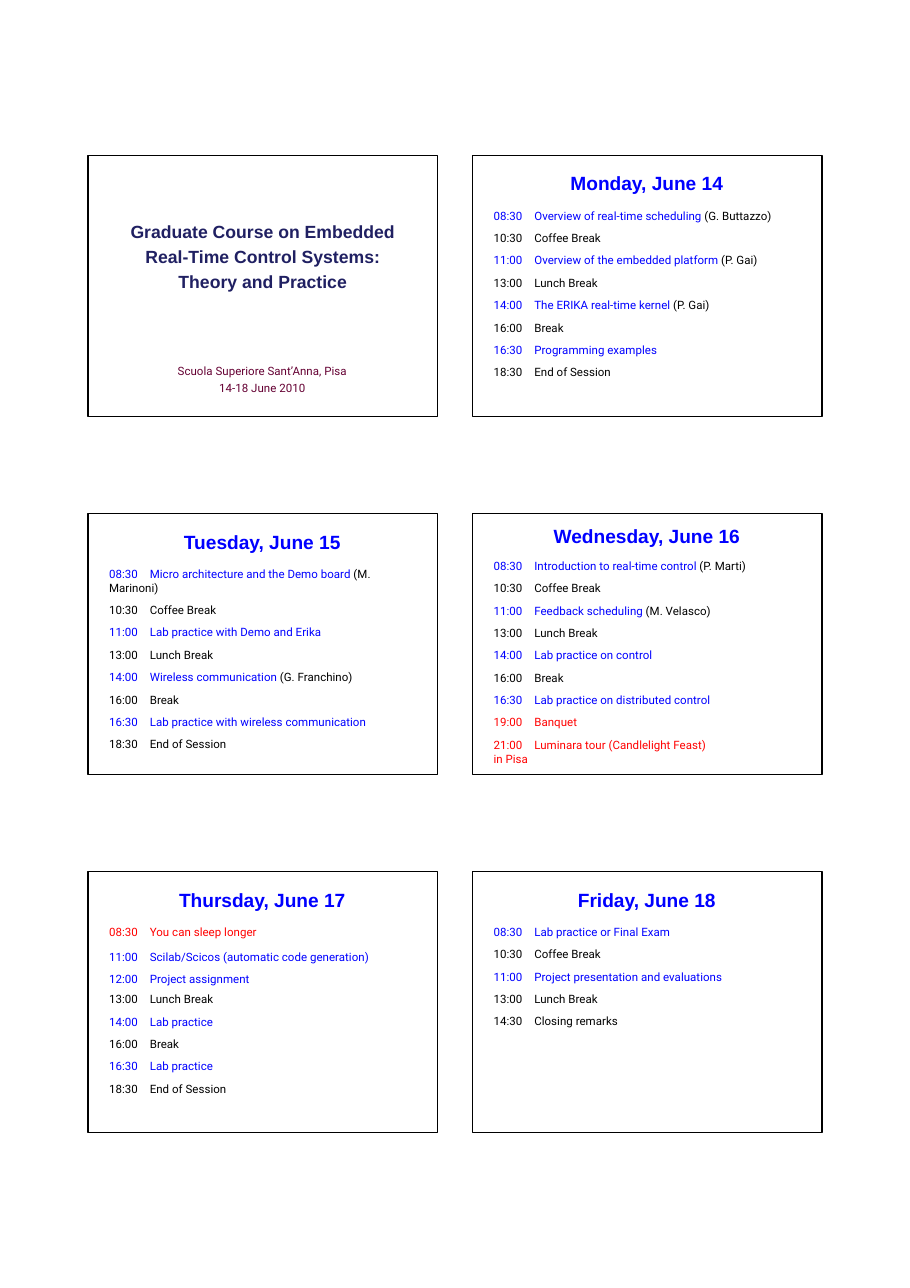
"""Build the six-panel programme of a graduate course."""
from lxml import etree
from pptx import Presentation
from pptx.dml.color import RGBColor
from pptx.enum import shapes, text
from pptx.oxml import ns
from pptx.util import Inches, Pt

BLUE, BLACK, RED, NAVY, WINE = "0000FF", "000000", "FF0000", "202062", "650033"
COFFEE = ("10:30", "Coffee Break", "", BLACK)
LUNCH = ("13:00", "Lunch Break", "", BLACK)
BREAK = ("16:00", "Break", "", BLACK)
END = ("18:30", "End of Session", "", BLACK)
VENUE = ["Scuola Superiore Sant’Anna, Pisa", "14-18 June 2010"]
COURSE = ["Graduate Course on Embedded", "Real-Time Control Systems:", "Theory and Practice"]

DAYS = [
    ("Monday, June 14", [
        ("08:30", "Overview of real-time scheduling", " (G. Buttazzo)", BLUE),
        COFFEE,
        ("11:00", "Overview of the embedded platform", " (P. Gai)", BLUE),
        LUNCH,
        ("14:00", "The ERIKA real-time kernel", " (P. Gai)", BLUE),
        BREAK,
        ("16:30", "Programming examples", "", BLUE),
        END]),
    ("Tuesday, June 15", [
        ("08:30", "Micro architecture and the Demo board", " (M. Marinoni)", BLUE),
        COFFEE,
        ("11:00", "Lab practice with Demo and Erika", "", BLUE),
        LUNCH,
        ("14:00", "Wireless communication", " (G. Franchino)", BLUE),
        BREAK,
        ("16:30", "Lab practice with wireless communication", "", BLUE),
        END]),
    ("Wednesday, June 16", [
        ("08:30", "Introduction to real-time control", " (P. Marti)", BLUE),
        COFFEE,
        ("11:00", "Feedback scheduling", " (M. Velasco)", BLUE),
        LUNCH,
        ("14:00", "Lab practice on control", "", BLUE),
        BREAK,
        ("16:30", "Lab practice on distributed control", "", BLUE),
        ("19:00", "Banquet", "", RED),
        ("21:00", "Luminara tour (Candlelight Feast)", "", RED)]),
    ("Thursday, June 17", [
        ("08:30", "You can sleep longer", "", RED),
        ("11:00", "Scilab/Scicos (automatic code generation)", "", BLUE),
        ("12:00", "Project assignment", "", BLUE),
        LUNCH,
        ("14:00", "Lab practice", "", BLUE),
        BREAK,
        ("16:30", "Lab practice", "", BLUE),
        END]),
    ("Friday, June 18", [
        ("08:30", "Lab practice or Final Exam", "", BLUE),
        COFFEE,
        ("11:00", "Project presentation and evaluations", "", BLUE),
        LUNCH,
        ("14:30", "Closing remarks", "", BLACK)]),
]
SPACE_BEFORE = {("Wednesday, June 16", 0): 7.5, ("Thursday, June 17", 1): 7.3,
                ("Thursday, June 17", 3): 4}


def rgb(color):
    return RGBColor.from_string(color)


def add_run(paragraph, words, font, size, color, bold=False):
    run = paragraph.add_run()
    run.text = words
    run.font.name, run.font.size, run.font.bold = font, Pt(size), bold
    run.font.color.rgb = rgb(color)


presentation = Presentation()
presentation.slide_width, presentation.slide_height = Inches(8.26), Inches(11.69)
slide = presentation.slides.add_slide(presentation.slide_layouts[5])

panels = []
for index in range(len(DAYS) + 1):
    row, column = divmod(index, 2)
    panel = slide.shapes.add_shape(
        shapes.MSO_SHAPE.RECTANGLE, Inches(0.8 + 3.49 * column), Inches(1.41 + 3.25 * row),
        Inches(3.17), Inches(2.37))
    panel.shadow.inherit = False
    panel.fill.background()
    panel.line.color.rgb, panel.line.width = rgb(BLACK), Pt(1.02)
    frame = panel.text_frame
    frame.word_wrap = True
    frame.vertical_anchor = text.MSO_ANCHOR.TOP
    frame.margin_left, frame.margin_right = Inches(0.19), Inches(0.2)
    frame.margin_top, frame.margin_bottom = Inches(0.15), Inches(0)
    panels.append(panel)

title = slide.shapes.title
title.left, title.top = Inches(0.8), Inches(1.97)
title.width, title.height = Inches(3.17), Inches(0.7)
title.text_frame.auto_size = text.MSO_AUTO_SIZE.NONE
title.text_frame.vertical_anchor = text.MSO_ANCHOR.TOP
title.text_frame.margin_top = title.text_frame.margin_bottom = Inches(0)
paragraph = title.text_frame.paragraphs[0]
paragraph.alignment = text.PP_ALIGN.CENTER
paragraph.line_spacing = Pt(16.3)
for number, line in enumerate(COURSE):
    if number:
        paragraph.add_line_break()
    add_run(paragraph, line, "Arial", 11.5, NAVY, True)

venue = panels[0].text_frame
venue.vertical_anchor = text.MSO_ANCHOR.BOTTOM
venue.margin_bottom = Inches(0.2)
for number, line in enumerate(VENUE):
    paragraph = venue.add_paragraph() if number else venue.paragraphs[0]
    paragraph.alignment = text.PP_ALIGN.CENTER
    paragraph.line_spacing = Pt(11.1)
    add_run(paragraph, line, "Roboto", 7.5, WINE)

for panel, (day, sessions) in zip(panels[1:], DAYS):
    frame = panel.text_frame
    heading = frame.paragraphs[0]
    heading.alignment = text.PP_ALIGN.CENTER
    add_run(heading, day, "Arial", 12.5, BLUE, True)
    for number, (time, topic, speaker, color) in enumerate(sessions):
        paragraph = frame.add_paragraph()
        paragraph.alignment = text.PP_ALIGN.LEFT
        paragraph.line_spacing = Pt(9.1)
        paragraph.space_before = Pt(SPACE_BEFORE.get((day, number), 5.5 if number else 9.1))
        tabs = etree.SubElement(paragraph._p.get_or_add_pPr(), ns.qn("a:tabLst"))
        etree.SubElement(tabs, ns.qn("a:tab"), pos=str(Inches(0.37)), algn="l")
        add_run(paragraph, f"{time}\t{topic}", "Roboto", 7.5, color)
        if speaker:
            add_run(paragraph, speaker, "Roboto", 7.5, BLACK)
        if topic.startswith("Luminara"):
            paragraph.add_line_break()
            add_run(paragraph, "in Pisa", "Roboto", 7.5, color)

panels[3].text_frame.margin_top = Inches(0.1)

presentation.save("out.pptx")
